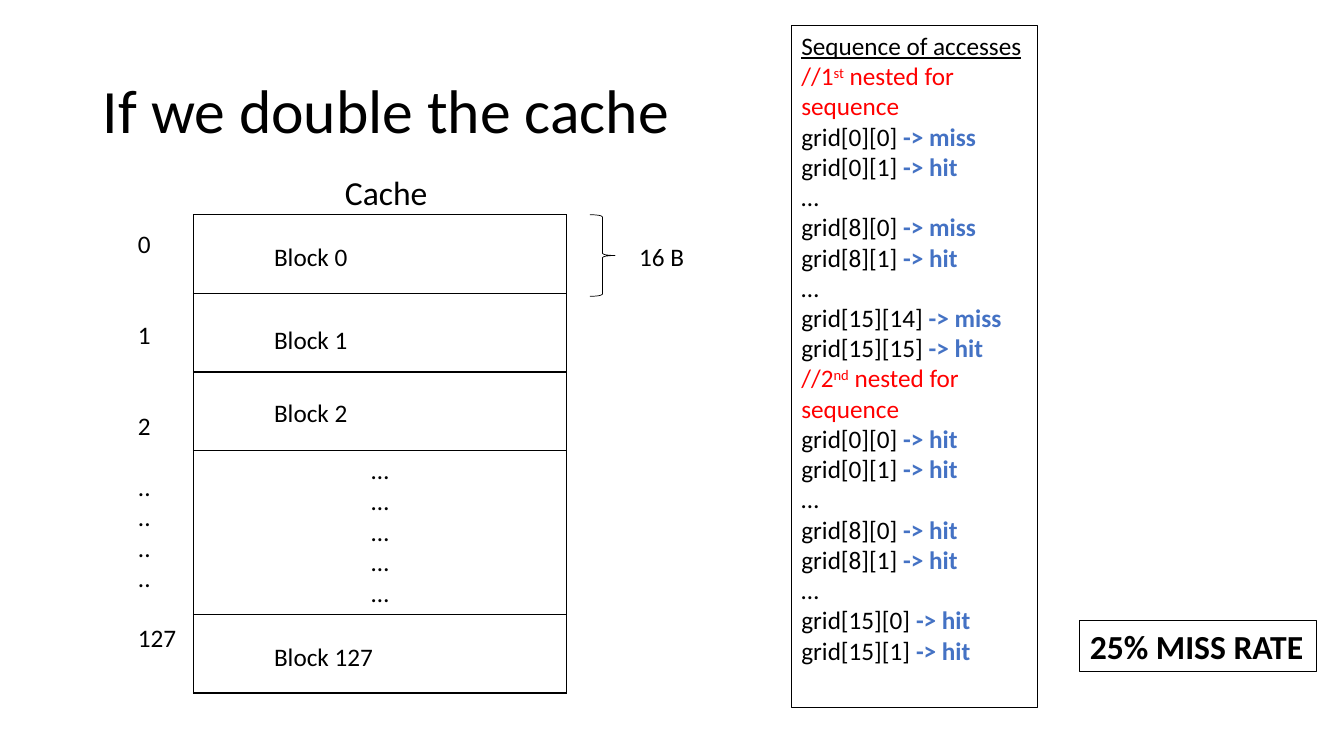
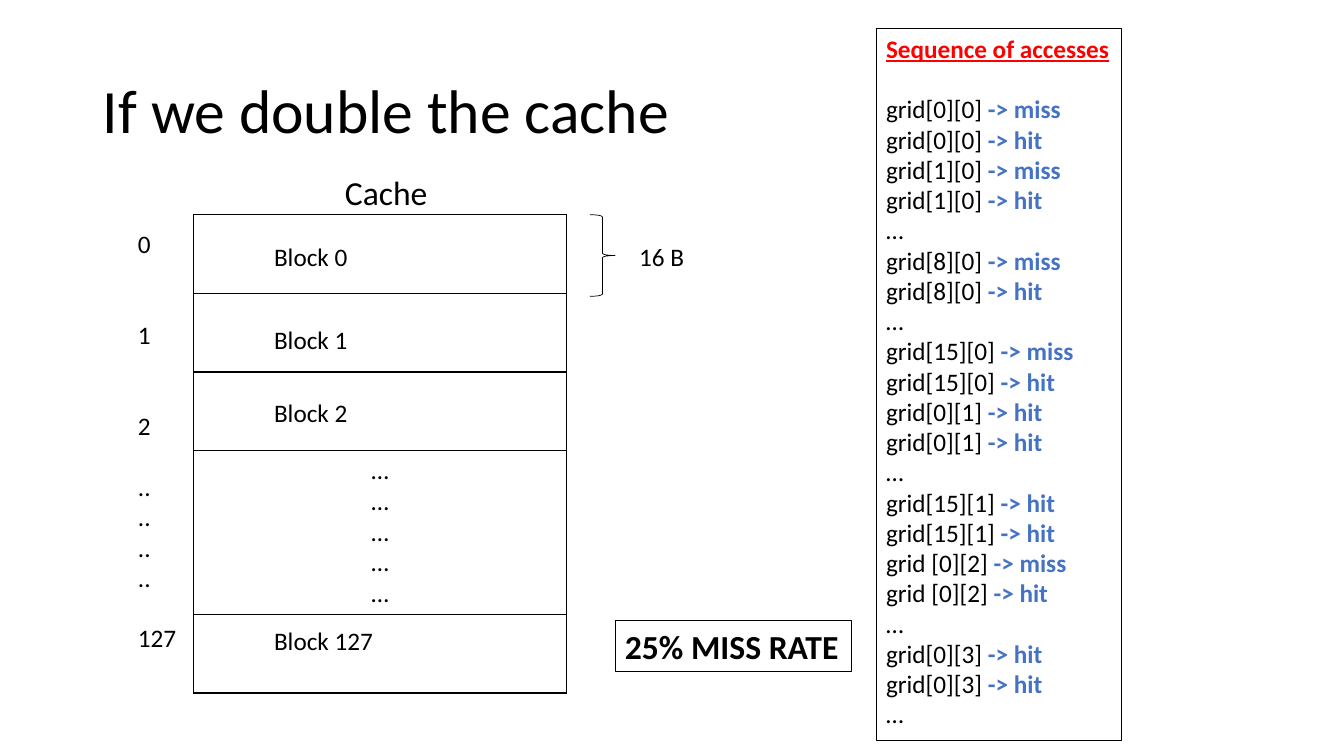
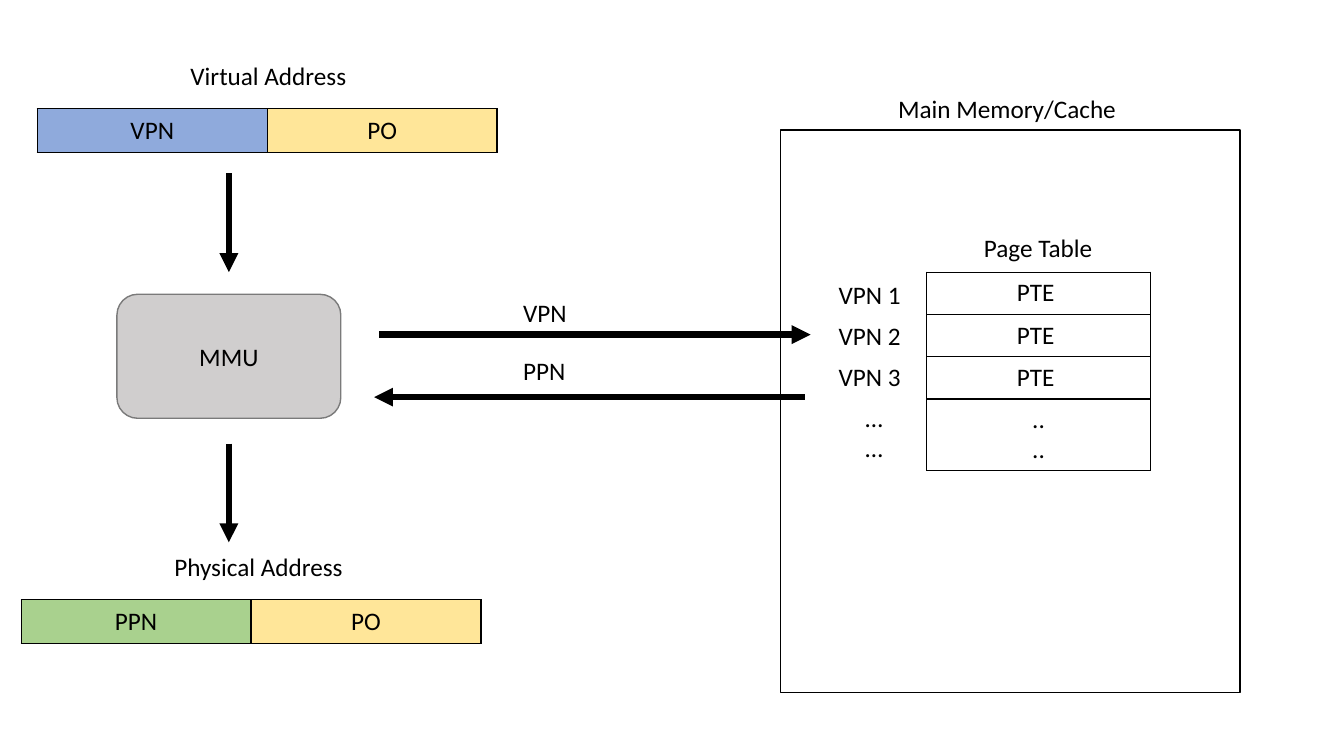
from lxml import etree
from pptx import Presentation
from pptx.dml.color import RGBColor
from pptx.enum.shapes import MSO_CONNECTOR, MSO_SHAPE
from pptx.enum.text import MSO_ANCHOR as Anchor, MSO_AUTO_SIZE as AutoSize, PP_ALIGN as Align
from pptx.oxml.ns import qn
from pptx.util import Inches, Pt

BLACK = RGBColor(0x00, 0x00, 0x00)
WHITE = RGBColor(0xFF, 0xFF, 0xFF)
RED = RGBColor(0xFF, 0x00, 0x00)
BLUE = RGBColor(0x44, 0x72, 0xC4)
PAGE_BLUE = RGBColor(0x8F, 0xAA, 0xDC)
FRAME_GREEN = RGBColor(0xA9, 0xD1, 0x8E)
OFFSET_YELLOW = RGBColor(0xFF, 0xE6, 0x99)
UNIT_GREY = RGBColor(0xD0, 0xCE, 0xCE)
EDGE_GREY = RGBColor(0x7A, 0x7A, 0x7A)

TITLE_ONLY, BLANK = 5, 6
LINE = 21.7  # height of one 18 pt line, in points
BODY = {"name": "Calibri", "size": Pt(18), "color": BLACK}
LARGE = {"size": Pt(24)}
RESULT = {"color": BLUE, "bold": True}
SUPERSCRIPT = {"color": RED, "baseline": "30000"}


class Deck:
    """Holds the shared style and the slide being filled."""

    def __init__(self):
        self.prs = Presentation()
        self.prs.slide_width, self.prs.slide_height = Inches(13.33), Inches(7.5)
        self.slide = None

    def new_slide(self, title=None):
        layout = self.prs.slide_layouts[BLANK if title is None else TITLE_ONLY]
        self.slide = self.prs.slides.add_slide(layout)
        if title is not None:
            heading = self.slide.shapes.title
            place = {"left": 0.92, "top": 0.4, "width": 11.5, "height": 1.45}
            for side, length in place.items():
                setattr(heading, side, Inches(length))
            self.fill_text(heading.text_frame, [title], {"size": Pt(44)}, anchor=Anchor.MIDDLE)
            heading.text_frame.paragraphs[0].line_spacing = 0.9

    def fill_text(self, frame, lines, style=None, align=Align.LEFT, anchor=Anchor.TOP, gaps=None):
        """Fill a frame; a line is a string or a list of (text, style) runs.

        gaps maps a line number to the points of space before it.
        """
        frame.word_wrap, frame.auto_size, frame.vertical_anchor = True, AutoSize.NONE, anchor
        for number, line in enumerate(lines):
            paragraph = frame.add_paragraph() if number else frame.paragraphs[0]
            paragraph.alignment = align
            if gaps and number in gaps:
                paragraph.space_before = Pt(gaps[number])
            for words, own in [(line, {})] if isinstance(line, str) else line:
                self.add_run(paragraph, words, BODY | (style or {}) | own)

    def add_run(self, paragraph, words, style):
        run = paragraph.add_run()
        run.text = words
        for key, value in style.items():
            if key == "color":
                run.font.color.rgb = value
            elif key == "baseline":
                run._r.get_or_add_rPr().set(key, value)
            else:
                setattr(run.font, key, value)

    def text(self, x, y, w, h, lines, style=None, outlined=False, **layout):
        box = self.slide.shapes.add_textbox(*map(Inches, (x, y, w, h)))
        if outlined:
            box.line.color.rgb, box.line.width = BLACK, Pt(0.75)
        lines = [lines] if isinstance(lines, str) else lines
        self.fill_text(box.text_frame, lines, style, **layout)

    def shape(self, kind, x, y, w, h, fill=None, line=BLACK, weight=1, label=None):
        shape = self.slide.shapes.add_shape(kind, *map(Inches, (x, y, w, h)))
        shape.shadow.inherit = False
        if fill is None:
            shape.fill.background()
        else:
            shape.fill.solid()
            shape.fill.fore_color.rgb = fill
        shape.line.color.rgb, shape.line.width = line, Pt(weight)
        if label:
            self.fill_text(shape.text_frame, [label], align=Align.CENTER, anchor=Anchor.MIDDLE)

    def arrow(self, x1, y1, x2, y2):
        arrow = self.slide.shapes.add_connector(
            MSO_CONNECTOR.STRAIGHT, *map(Inches, (x1, y1, x2, y2)))
        arrow.line.color.rgb, arrow.line.width = BLACK, Pt(4.5)
        etree.SubElement(arrow.line._get_or_add_ln(), qn("a:tailEnd"), type="triangle")
        etree.SubElement(arrow._element.spPr, qn("a:effectLst"))

    def table(self, x, y, widths, heights, rows):
        """Draw a ruled table; a cell is (lines, fill)."""
        size = (sum(widths), sum(heights))
        table = self.slide.shapes.add_table(
            len(heights), len(widths), *map(Inches, (x, y, *size))).table
        table.first_row = table.horz_banding = False
        for column, width in zip(table.columns, widths):
            column.width = Inches(width)
        for row, height, cells in zip(table.rows, heights, rows):
            row.height = Inches(height)
            for cell, (lines, fill) in zip(row.cells, cells):
                self.rule_cell(cell)
                if fill is None:
                    cell.fill.background()
                else:
                    cell.fill.solid()
                    cell.fill.fore_color.rgb = fill
                self.fill_text(cell.text_frame, lines, align=Align.CENTER)
                cell.vertical_anchor = Anchor.MIDDLE

    def rule_cell(self, cell):
        properties = cell._tc.get_or_add_tcPr()
        for side in ("lnL", "lnR", "lnT", "lnB"):
            edge = etree.SubElement(properties, qn(f"a:{side}"), w=str(Pt(1)))
            paint = etree.SubElement(edge, qn("a:solidFill"))
            etree.SubElement(paint, qn("a:srgbClr"), val=str(BLACK))


def access_lines(accesses):
    """Split each access into its address and its highlighted result."""
    for access in accesses:
        address, arrow, result = access.partition("->")
        yield [(address, {}), (arrow + result, RESULT)] if arrow else access


def loop_comment(number, suffix):
    red = {"color": RED}
    return [(f"//{number}", red), (suffix, SUPERSCRIPT), (" nested for sequence", red)]


def cache_slide(deck, last_block_y, sequence_box, sequence, gaps, rate_x):
    deck.new_slide("If we double the cache")
    row = 0.78
    contents = [[], [], [], ["…"] * 5, []]
    deck.table(1.92, 2.13, [3.7], [row, row, row, 1.61, row],
               [[(lines, None)] for lines in contents])
    deck.text(2.92, 1.66, 1.82, 0.5, "Cache", LARGE, align=Align.CENTER)
    deck.text(1.27, 2.22, 0.63, 4.34, ["0", "1", "2", *[".."] * 4, "127"],
              gaps={1: 2 * LINE, 2: 2 * LINE, 3: LINE, 7: LINE})
    for block, y in ((0, 2.34), (1, 3.17), (2, 3.89), (127, last_block_y)):
        deck.text(2.62, y, 2.43, 0.4, f"Block {block}")
    deck.shape(MSO_SHAPE.RIGHT_BRACE, 5.85, 2.13, 0.25, 0.81, weight=0.5)
    deck.text(6.24, 2.34, 0.71, 0.4, "16 B")
    deck.text(*sequence_box, sequence, outlined=True, gaps=gaps)
    deck.text(rate_x, 6.16, 2.35, 0.5, "25% MISS RATE", LARGE | {"bold": True}, outlined=True)


def address(deck, x, y, name, page, page_fill):
    """A named address bar: page number and page offset."""
    deck.table(x, y, [2.28, 2.28], [0.43], [[([page], page_fill), (["PO"], OFFSET_YELLOW)]])
    deck.text(x + 1.42, y - 0.53, 1.92, 0.4, name)


def translation_slide(deck):
    deck.new_slide()
    deck.shape(MSO_SHAPE.RECTANGLE, 7.74, 1.29, 4.56, 5.58, fill=WHITE)
    deck.text(8.81, 0.88, 2.43, 0.4, "Main Memory/Cache")
    address(deck, 0.37, 1.08, "Virtual Address", "VPN", PAGE_BLUE)
    address(deck, 0.21, 5.95, "Physical Address", "PPN", FRAME_GREEN)
    deck.shape(MSO_SHAPE.ROUNDED_RECTANGLE, 1.16, 2.92, 2.22, 1.23,
               fill=UNIT_GREY, line=EDGE_GREY, label="MMU")
    for ends in ((2.27, 1.72, 2.27, 2.7), (2.27, 4.4, 2.27, 5.38),
                 (3.76, 3.32, 8.04, 3.32), (7.98, 3.94, 3.71, 3.94)):
        deck.arrow(*ends)
    for message, y in (("VPN", 2.9), ("PPN", 3.48)):
        deck.text(5.09, y, 0.75, 0.4, message)
    deck.text(9.66, 2.26, 1.29, 0.4, "Page Table")
    entries = [["PTE "]] * 3 + [["..", ".."]]
    deck.table(9.19, 2.7, [2.22], [0.42] * 3 + [0.7], [[(entry, None)] for entry in entries])
    for index in range(3):
        deck.text(8.22, 2.72 + 0.41 * index, 0.9, 0.4, f"VPN {index + 1}")
    deck.text(8.22, 3.94, 0.9, 0.71, ["…", "…"], align=Align.CENTER)


def main():
    deck = Deck()
    heading = "Sequence of accesses"
    row_order = [
        [(heading, {"underline": True})],
        loop_comment(1, "st"),
        *access_lines([
            "grid[0][0] -> miss", "grid[0][1] -> hit", "…",
            "grid[8][0] -> miss", "grid[8][1] -> hit", "…",
            "grid[15][14] -> miss", "grid[15][15] -> hit"]),
        loop_comment(2, "nd"),
        *access_lines([
            "grid[0][0] -> hit", "grid[0][1] -> hit", "…",
            "grid[8][0] -> hit", "grid[8][1] -> hit", "…",
            "grid[15][0] -> hit", "grid[15][1] -> hit"]),
    ]
    column_order = [
        [(heading, {"underline": True, "bold": True, "color": RED})],
        *access_lines([
            "grid[0][0] -> miss", "grid[0][0] -> hit",
            "grid[1][0] -> miss", "grid[1][0] -> hit", "…",
            "grid[8][0] -> miss", "grid[8][0] -> hit", "…",
            "grid[15][0] -> miss", "grid[15][0] -> hit",
            "grid[0][1] -> hit", "grid[0][1] -> hit", "…",
            "grid[15][1] -> hit", "grid[15][1] -> hit",
            "grid [0][2] -> miss", "grid [0][2] -> hit", "…",
            "grid[0][3] -> hit", "grid[0][3] -> hit", "…"]),
    ]
    cache_slide(deck, 6.31, (7.85, 0.25, 2.44, 6.77), row_order, None, 10.71)
    cache_slide(deck, 6.15, (8.69, 0.28, 2.43, 7.07), column_order, {1: LINE}, 6.1)
    translation_slide(deck)
    deck.prs.save("out.pptx")


if __name__ == "__main__":
    main()
